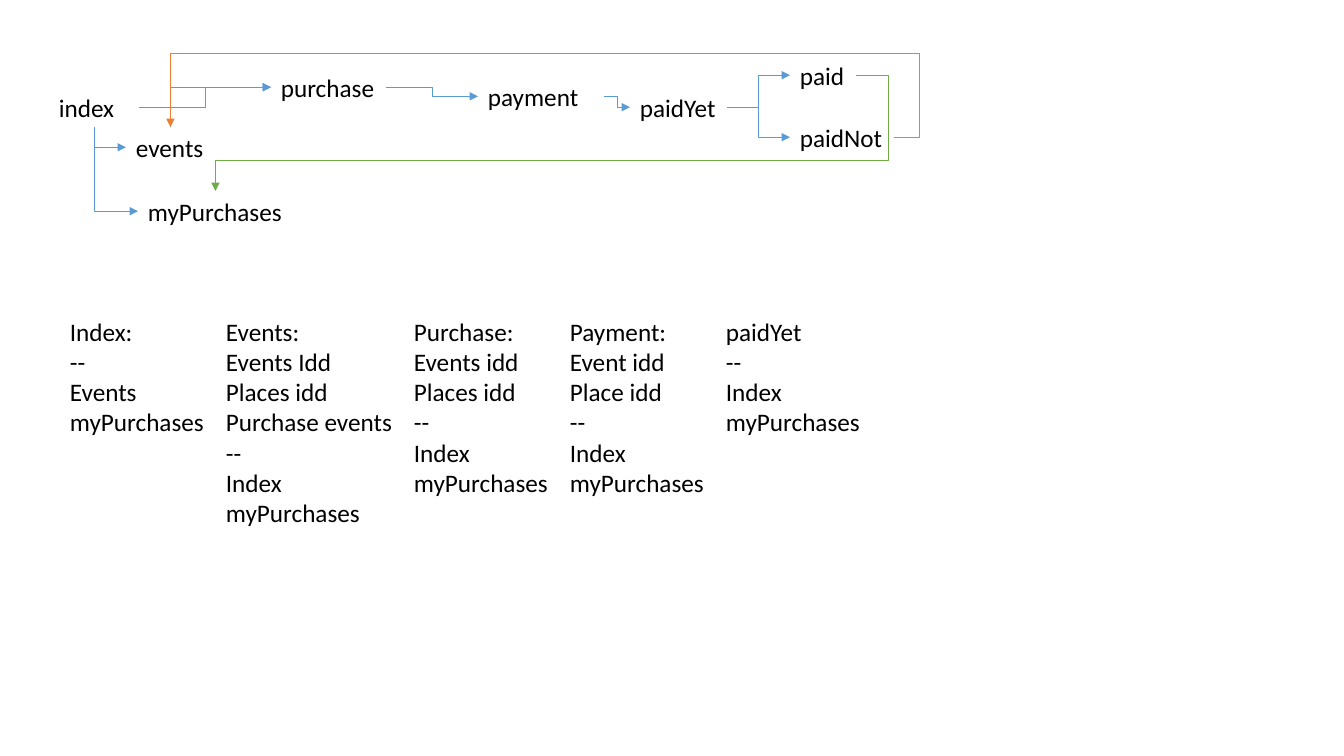
from lxml import etree
from pptx import Presentation
from pptx.dml.color import RGBColor
from pptx.enum.shapes import MSO_CONNECTOR
from pptx.enum.text import MSO_AUTO_SIZE
from pptx.oxml.ns import qn
from pptx.util import Pt

EMU_PER_PX = 914400 / 100.8
BLANK_LAYOUT = 6
ELBOW = MSO_CONNECTOR.ELBOW
GROW = MSO_AUTO_SIZE.SHAPE_TO_FIT_TEXT
TOP, LEFT, BOTTOM, RIGHT = range(4)  # connection sites of a text box

BLACK = RGBColor(0x00, 0x00, 0x00)
BLUE = RGBColor(0x5B, 0x9B, 0xD5)
ORANGE = RGBColor(0xED, 0x7D, 0x31)
GREEN = RGBColor(0x70, 0xAD, 0x47)

LINE_HEIGHT = 30.5
PADDING = 10

# name: left, top, width, wrap (relative to the flow region)
PAGES = {
    "index": (0, 32, 90, True),
    "events": (77, 72, 89, False),
    "myPurchases": (89, 136, 155, False),
    "purchase": (222, 12, 115, False),
    "payment": (429, 21, 126, True),
    "paidYet": (581, 32, 97, False),
    "paid": (741, 0, 66, False),
    "paidNot": (741, 62, 104, False),
}

STEPS = [
    ("index", "purchase"),
    ("purchase", "payment"),
    ("payment", "paidYet"),
    ("paidYet", "paid"),
    ("paidYet", "paidNot"),
]

CORNERS = [
    ("events", TOP, "purchase"),
    ("index", BOTTOM, "events"),
    ("index", BOTTOM, "myPurchases"),
]

# start, end, lane x, lane y (relative to the flow region), colour
RETURNS = [
    ("paidNot", "events", 870, -2, ORANGE),
    ("paid", "myPurchases", 839, 105, GREEN),
]

# column width, lines
DETAILS = [
    (156, ["Index:", "--", "Events", "myPurchases"]),
    (188, ["Events:", "Events Idd", "Places idd", "Purchase events",
           "--", "Index", "myPurchases"]),
    (156, ["Purchase:", "Events idd", "Places idd", "--", "Index", "myPurchases"]),
    (156, ["Payment:", "Event idd", "Place idd", "--", "Index", "myPurchases"]),
    (156, ["paidYet", "--", "Index", "myPurchases"]),
]


def px(length):
    return round(length * EMU_PER_PX)


def add_text(page, lines, left, top, width, *, wrap=False, size=18,
             font="Calibri", color=BLACK):
    height = LINE_HEIGHT * len(lines) + PADDING
    box = page.shapes.add_textbox(px(left), px(top), px(width), px(height))
    frame = box.text_frame
    frame.word_wrap = wrap
    frame.auto_size = GROW
    for number, line in enumerate(lines):
        para = frame.paragraphs[0] if number == 0 else frame.add_paragraph()
        span = para.add_run()
        span.text = line
        span.font.name = font
        span.font.size = Pt(size)
        span.font.color.rgb = color
    return box


def add_arrow(page, start, start_site, end, end_site, color=BLUE):
    arrow = page.shapes.add_connector(ELBOW, 0, 0, 0, 0)
    arrow.begin_connect(start, start_site)
    arrow.end_connect(end, end_site)
    arrow.line.color.rgb = color
    arrow.line.width = Pt(0.5)
    properties = arrow._element.spPr
    etree.SubElement(properties.find(qn("a:ln")), qn("a:tailEnd"), type="triangle")
    etree.SubElement(properties, qn("a:effectLst"))
    return arrow


def set_preset(arrow, preset, **adjustments):
    geometry = arrow._element.spPr.find(qn("a:prstGeom"))
    geometry.set("prst", preset)
    guides = geometry.find(qn("a:avLst"))
    for name, share in adjustments.items():
        etree.SubElement(guides, qn("a:gd"), name=name,
                         fmla=f"val {round(share * 100000)}")


def turn_corner(arrow):
    """Make the arrow leave vertically, then run right to its end."""
    upward = arrow.end_y < arrow.begin_y
    left, top, width, height = arrow.left, arrow.top, arrow.width, arrow.height
    arrow.left = left + (width - height) // 2
    arrow.top = top + (height - width) // 2
    arrow.width, arrow.height = height, width
    frame = arrow._element.spPr.find(qn("a:xfrm"))
    frame.set("rot", "5400000" if upward else "16200000")
    frame.set("flipH", "1")
    frame.set("flipV", "1" if upward else "0")
    set_preset(arrow, "bentConnector2")


def use_lane(arrow, lane_x, lane_y):
    """Send the arrow around through a vertical and a horizontal lane."""
    across = (lane_x - arrow.begin_x) / (arrow.end_x - arrow.begin_x)
    down = (lane_y - arrow.begin_y) / (arrow.end_y - arrow.begin_y)
    set_preset(arrow, "bentConnector4", adj1=across, adj2=down)


def add_flow(page, left, top):
    # Page names
    boxes = {
        name: add_text(page, [name], left + x, top + y, width, wrap=wrap)
        for name, (x, y, width, wrap) in PAGES.items()
    }
    # Forward steps
    for start, end in STEPS:
        add_arrow(page, boxes[start], RIGHT, boxes[end], LEFT)
    for start, site, end in CORNERS:
        turn_corner(add_arrow(page, boxes[start], site, boxes[end], LEFT))
    # Ways back
    for start, end, lane_x, lane_y, color in RETURNS:
        arrow = add_arrow(page, boxes[start], RIGHT, boxes[end], TOP, color)
        use_lane(arrow, px(left + lane_x), px(top + lane_y))


def add_details(page, left, top):
    for width, lines in DETAILS:
        add_text(page, lines, left, top, width)
        left += width


def main():
    deck = Presentation()
    deck.slide_width, deck.slide_height = px(1344), px(756)
    page = deck.slides.add_slide(deck.slide_layouts[BLANK_LAYOUT])
    add_flow(page, 49, 55)
    add_details(page, 60, 311)
    deck.save("out.pptx")


if __name__ == "__main__":
    main()
